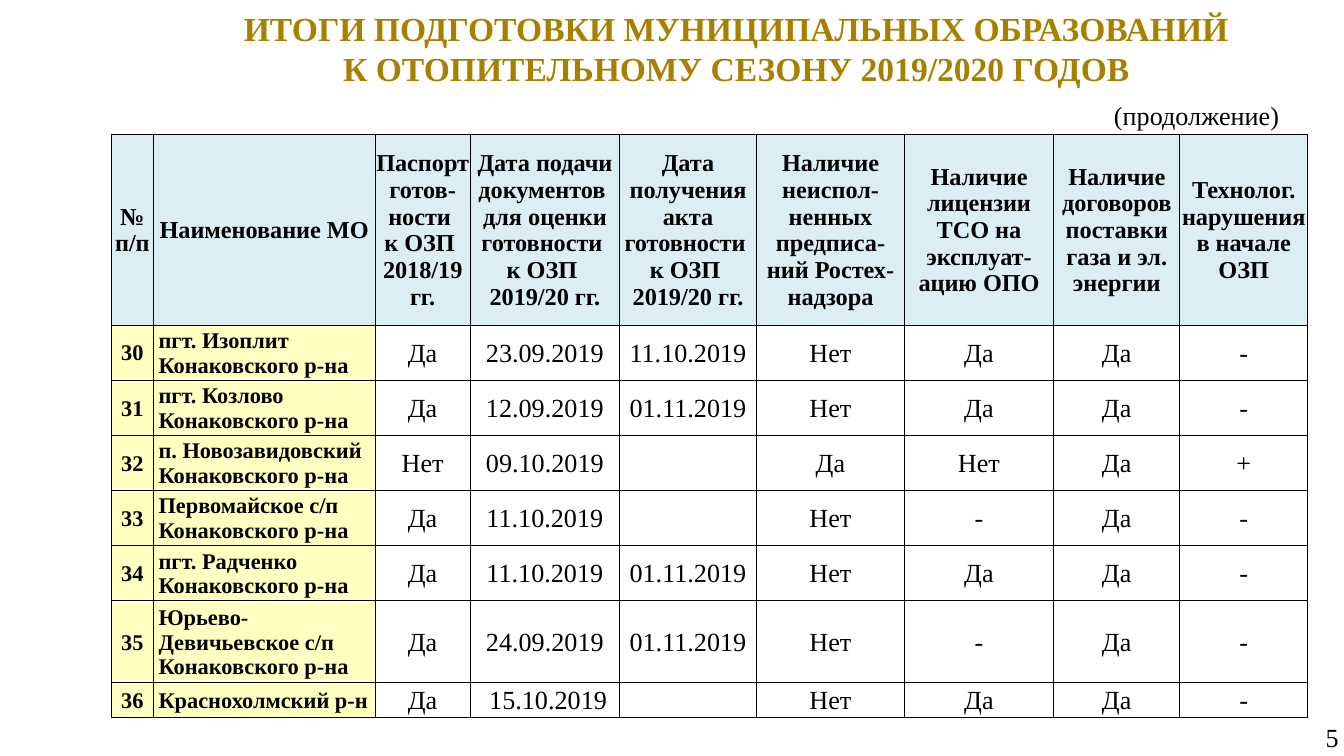
import copy
from dataclasses import dataclass

import pptx
import pptx.dml.color
import pptx.enum.text
import pptx.oxml
import pptx.oxml.ns
import pptx.util
from lxml import etree

Inches = pptx.util.Inches
Pt = pptx.util.Pt
qn = pptx.oxml.ns.qn
RGB = pptx.dml.color.RGBColor.from_string
ALIGN = pptx.enum.text.PP_ALIGN
ANCHOR = pptx.enum.text.MSO_ANCHOR


@dataclass(frozen=True)
class Theme:
    font: str = "Times New Roman"
    ink: str = "000000"
    title_color: str = "A88000"
    head_fill: str = "DBEEF4"
    name_fill: str = "FFFFC1"
    title: float = 18
    body: float = 14
    head: float = 13
    name: float = 12
    border: float = 0.5


THEME = Theme()


def write(tf, text, size=THEME.body, color=THEME.ink, bold=False, align=ALIGN.LEFT):
    """Fill a text frame; a list gives paragraphs, a newline gives a line break."""
    for i, line in enumerate(text if isinstance(text, list) else [text]):
        p = tf.paragraphs[0] if i == 0 else tf.add_paragraph()
        p.alignment = align
        p.text = line
        for r in p.runs:
            f = r.font
            f.name, f.size, f.bold = THEME.font, Pt(size), bold
            f.color.rgb = RGB(color)
        # Line breaks and empty paragraphs keep the text size too
        for br in p._p.findall(qn("a:br")):
            br.insert(0, copy.deepcopy(p.runs[0]._r.rPr))
        if not line:
            etree.SubElement(p._p, qn("a:endParaRPr"), sz=str(int(size * 100)))


class Deck:
    def __init__(self, theme, width):
        self.theme = theme
        self.prs = pptx.Presentation()
        # Widescreen, 16 to 9
        self.prs.slide_width = Inches(width)
        self.prs.slide_height = Inches(width * 9 / 16)
        self.s = self.prs.slides.add_slide(self.prs.slide_layouts[6])

    def text(self, box, text, inset=(0.1, 0.05), anchor=ANCHOR.TOP, **fmt):
        sp = self.s.shapes.add_textbox(*map(Inches, box))
        tf = sp.text_frame
        tf.word_wrap = True
        tf.vertical_anchor = anchor
        tf.margin_left = tf.margin_right = Inches(inset[0])
        tf.margin_top = tf.margin_bottom = Inches(inset[1])
        write(tf, text, **fmt)

    def borders(self, cell):
        tc_pr = cell._tc.get_or_add_tcPr()
        for i, side in enumerate(("lnL", "lnR", "lnT", "lnB")):
            ln = etree.Element(qn(f"a:{side}"), w=str(Pt(self.theme.border)))
            fill = etree.SubElement(ln, qn("a:solidFill"))
            etree.SubElement(fill, qn("a:srgbClr"), val=self.theme.ink)
            tc_pr.insert(i, ln)

    def cell(self, cell, text, fill=None, left=0.01, **fmt):
        cell.vertical_anchor = ANCHOR.MIDDLE
        cell.margin_left = Inches(left)
        cell.margin_right = cell.margin_top = Inches(0.01)
        cell.margin_bottom = 0
        if fill:
            cell.fill.solid()
            cell.fill.fore_color.rgb = RGB(fill)
        else:
            cell.fill.background()
        self.borders(cell)
        write(cell.text_frame, text, **fmt)

    def table(self, left, top, widths, heights, head, rows):
        t = self.theme
        box = (left, top, sum(widths), sum(heights))
        sp = self.s.shapes.add_table(len(rows) + 1, len(head), *map(Inches, box))
        table = sp.table
        for col, width in zip(table.columns, widths):
            col.width = Inches(width)
        for row, height in zip(table.rows, heights):
            row.height = Inches(height)

        # Header, then number, name and value columns
        for j, text in enumerate(head):
            self.cell(table.cell(0, j), text, t.head_fill, size=t.head, bold=True,
                      align=ALIGN.CENTER)
        for i, (number, name, *values) in enumerate(rows, 1):
            self.cell(table.cell(i, 0), number, t.name_fill, size=t.name, bold=True,
                      align=ALIGN.CENTER)
            self.cell(table.cell(i, 1), name, t.name_fill, left=0.04, size=t.name,
                      bold=True)
            for j, value in enumerate(values, 2):
                self.cell(table.cell(i, j), value, align=ALIGN.CENTER)


HEAD = [
    "№ п/п",
    "Наименование МО",
    "Паспорт готов-ности \nк ОЗП \n2018/19 гг.",
    "Дата подачи документов \nдля оценки готовности \nк ОЗП \n2019/20 гг.",
    ["Дата получения акта готовности ", "к ОЗП \n2019/20 гг."],
    "Наличие неиспол-ненных предписа-ний Ростех-надзора",
    "Наличие лицензии ТСО на эксплуат-ацию ОПО",
    "Наличие договоров поставки газа и эл. энергии",
    "Технолог. нарушения в начале ОЗП",
]
DISTRICT = "Конаковского р-на"
ROWS = [
    ("30", f"пгт. Изоплит {DISTRICT}", "Да", "23.09.2019", "11.10.2019", "Нет", "Да", "Да", "-"),
    ("31", f"пгт. Козлово {DISTRICT}", "Да", "12.09.2019", "01.11.2019", "Нет", "Да", "Да", "-"),
    ("32", f"п. Новозавидовский {DISTRICT}", "Нет", "09.10.2019", "", "Да", "Нет", "Да", "+"),
    ("33", f"Первомайское с/п {DISTRICT}", "Да", "11.10.2019", "", "Нет", "-", "Да", "-"),
    ("34", f"пгт. Радченко {DISTRICT}", "Да", "11.10.2019", "01.11.2019", "Нет", "Да", "Да", "-"),
    ("35", f"Юрьево-Девичьевское с/п {DISTRICT}", "Да", "24.09.2019", "01.11.2019", "Нет", "-",
     "Да", "-"),
    ("36", "Краснохолмский р-н", "Да", " 15.10.2019", "", "Нет", "Да", "Да", "-"),
]


def main():
    deck = Deck(THEME, 10)

    # Page number
    deck.text((8.13, 5.33, 1.91, 0.25), "5", inset=(0.08, 0.04), align=ALIGN.RIGHT)

    # Readiness table; rows grow to fit their names
    deck.table(0.83, 1, [0.31, 1.65, 0.71, 1.11, 1.02, 1.1, 1.11, 0.94, 0.95],
               [1.42] + [0.26] * len(ROWS), HEAD, ROWS)

    # Continuation mark and title
    deck.text((8.19, 0.69, 1.81, 0.33), "(продолжение)")
    deck.text((0.96, 0, 9.04, 0.71),
              ["ИТОГИ ПОДГОТОВКИ МУНИЦИПАЛЬНЫХ ОБРАЗОВАНИЙ",
               "К ОТОПИТЕЛЬНОМУ СЕЗОНУ 2019/2020 ГОДОВ"],
              anchor=ANCHOR.MIDDLE, size=THEME.title, color=THEME.title_color, bold=True,
              align=ALIGN.CENTER)

    deck.prs.save("out.pptx")


if __name__ == "__main__":
    main()
